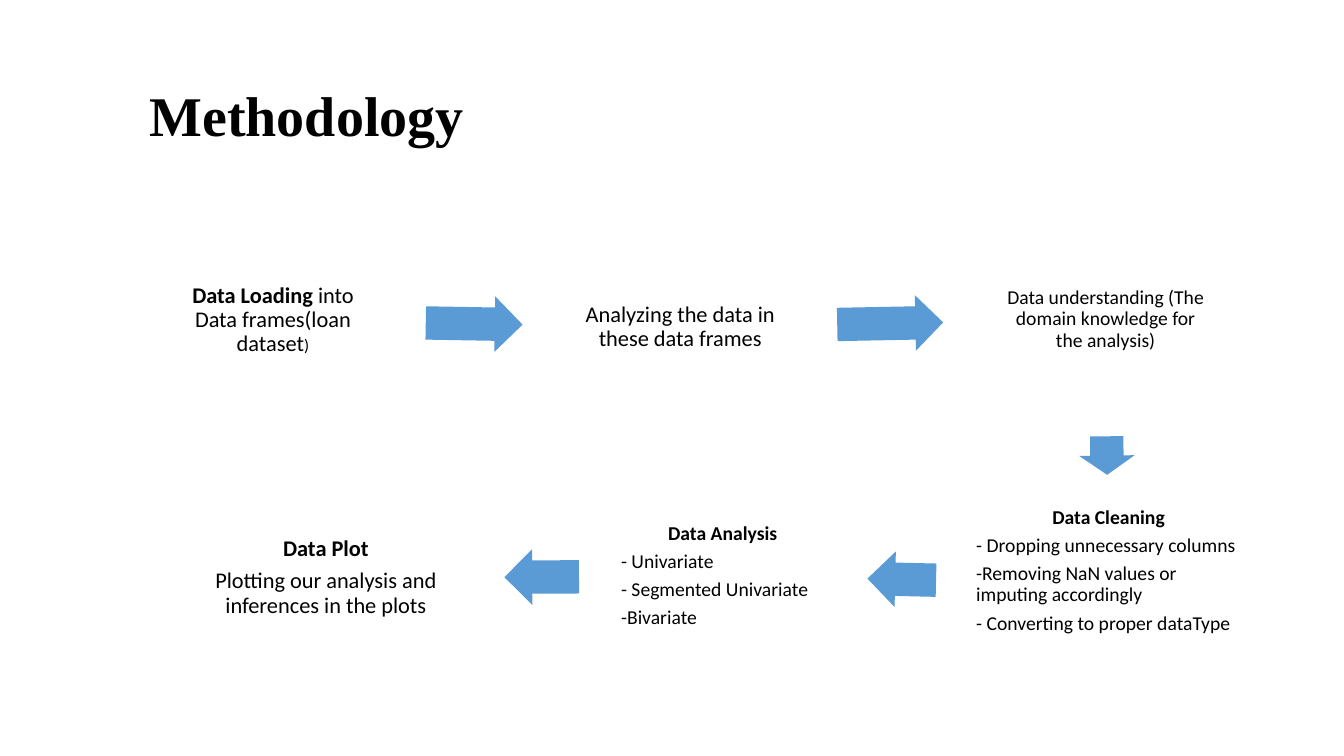
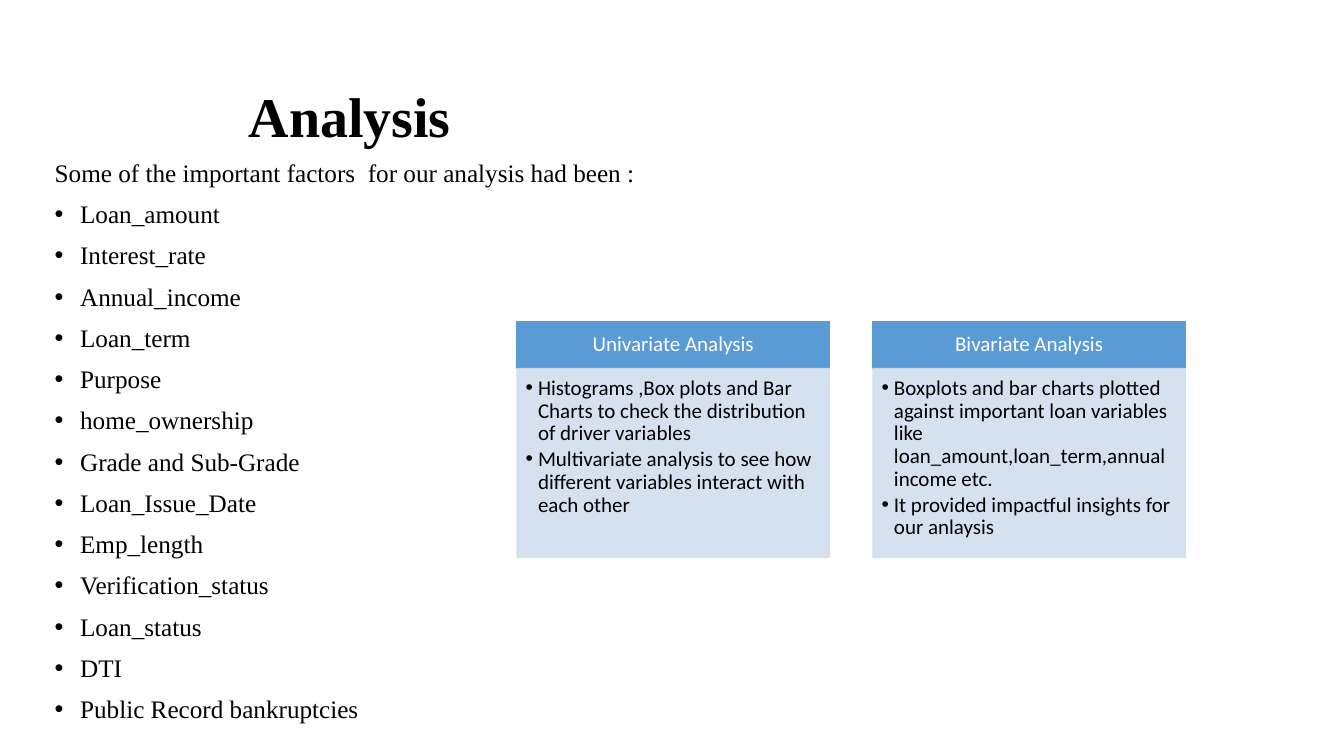
from dataclasses import dataclass

from lxml.etree import SubElement
from pptx import Presentation
from pptx.dml.color import RGBColor
from pptx.enum.shapes import MSO_SHAPE
from pptx.enum.text import MSO_ANCHOR, PP_ALIGN
from pptx.oxml.ns import qn
from pptx.util import Cm, Pt


# Theme
@dataclass(frozen=True)
class Theme:
    black: RGBColor = RGBColor(0x00, 0x00, 0x00)
    white: RGBColor = RGBColor(0xFF, 0xFF, 0xFF)
    blue: RGBColor = RGBColor(0x5B, 0x9B, 0xD5)
    pale: RGBColor = RGBColor(0xD2, 0xDE, 0xEF)
    pale_opacity: int = 90
    serif: str = "Times New Roman"
    sans: str = "Calibri"
    title: int = 40
    factor: int = 18
    step: int = 16
    step_small: int = 14
    bracket: int = 12
    card: int = 15
    line_spacing: float = 0.9


THEME = Theme()


# Building blocks; all lengths are in centimetres
@dataclass(frozen=True)
class Area:
    left: float
    top: float
    width: float
    height: float


@dataclass(frozen=True)
class Span:
    text: str
    bold: bool = False
    size: int | None = None


@dataclass(frozen=True)
class Line:
    spans: tuple[Span, ...]
    centred: bool = False
    bullet: bool = False


@dataclass(frozen=True)
class TextStyle:
    font: str
    size: int
    colour: RGBColor = THEME.black
    before: float = 0
    after: float = 0
    indent: float = 0
    insets: tuple[float, float, float, float] = (0.25, 0.13, 0.25, 0.13)
    anchor: MSO_ANCHOR = MSO_ANCHOR.MIDDLE


@dataclass(frozen=True)
class Step:
    area: Area
    size: int
    lines: tuple[Line, ...]
    boxed: bool = True
    space_below: float = 0


@dataclass(frozen=True)
class Arrow:
    left: float
    top: float
    length: float
    rotation: float


@dataclass(frozen=True)
class Card:
    heading: str
    points: tuple[str, ...]


def line(text: str, bold: bool = False, centred: bool = False,
         bullet: bool = False) -> Line:
    return Line((Span(text, bold),), centred, bullet)


# Shared drawing functions
def write(frame, lines: tuple[Line, ...], style: TextStyle) -> None:
    frame.word_wrap = True
    frame.vertical_anchor = style.anchor
    (frame.margin_left, frame.margin_top,
     frame.margin_right, frame.margin_bottom) = map(Cm, style.insets)
    for index, item in enumerate(lines):
        para = frame.add_paragraph() if index else frame.paragraphs[0]
        para.alignment = PP_ALIGN.CENTER if item.centred else PP_ALIGN.LEFT
        para.line_spacing = THEME.line_spacing
        para.space_before = Pt(style.before)
        para.space_after = Pt(style.after)
        if item.bullet:
            properties = para._p.get_or_add_pPr()
            properties.set("marL", str(Cm(style.indent)))
            properties.set("indent", str(-Cm(style.indent)))
            SubElement(properties, qn("a:buFont"), typeface="Arial")
            SubElement(properties, qn("a:buChar"), char="•")
        for part in item.spans:
            span = para.add_run()
            span.text = part.text
            span.font.name = style.font
            span.font.size = Pt(part.size or style.size)
            span.font.bold = part.bold
            span.font.color.rgb = style.colour


def place(area: Area) -> tuple[Cm, Cm, Cm, Cm]:
    return Cm(area.left), Cm(area.top), Cm(area.width), Cm(area.height)


def add_text(page, area: Area, lines: tuple[Line, ...], style: TextStyle) -> None:
    box = page.shapes.add_textbox(*place(area))
    write(box.text_frame, lines, style)


def add_filled(page, kind: MSO_SHAPE, area: Area, colour: RGBColor):
    shape = page.shapes.add_shape(kind, *place(area))
    shape.shadow.inherit = False
    shape.fill.solid()
    shape.fill.fore_color.rgb = colour
    shape.line.fill.background()
    return shape


def add_page(deck, title: str, left: float, top: float):
    page = deck.slides.add_slide(deck.slide_layouts[6])
    add_text(page, Area(left, top, 25.88, 2.39), (line(title, bold=True),),
             TextStyle(THEME.serif, THEME.title))
    return page


# Methodology content
ARROW_THICKNESS = 1.4

STEPS = (
    Step(Area(4.19, 5.76, 5.38, 4.62), THEME.step, (
        Line((Span("Data Loading ", bold=True),
              Span("into Data frames(loan dataset"),
              Span(")", size=THEME.bracket)), centred=True),
    ), boxed=False),
    Step(Area(14.3, 5.66, 5.69, 5.18), THEME.step, (
        line("Analyzing the data in these data frames", centred=True),
    )),
    Step(Area(25.02, 5.49, 5.69, 5.13), THEME.step_small, (
        line("Data understanding (The domain knowledge for the analysis)",
             centred=True),
    )),
    Step(Area(24.31, 12.42, 7.26, 4.62), THEME.step_small, (
        line("Data Cleaning", bold=True, centred=True),
        line("- Dropping unnecessary columns"),
        line("-Removing NaN values or imputing accordingly"),
        line("- Converting to proper dataType"),
    ), space_below=0.68),
    Step(Area(15.37, 12.35, 5.69, 4.32), THEME.step_small, (
        line("Data Analysis", bold=True, centred=True),
        line("- Univariate"),
        line("- Segmented Univariate"),
        line("-Bivariate"),
    )),
    Step(Area(4.62, 12.78, 7.19, 3.56), THEME.step, (
        line("Data Plot", bold=True, centred=True),
        line("Plotting our analysis and inferences in the plots", centred=True),
    )),
)

ARROWS = (
    Arrow(10.73, 7.46, 2.44, 1),
    Arrow(21.1, 7.45, 2.67, 358.9),
    Arrow(27.41, 10.78, 0.97, 89.3),
    Arrow(21.86, 13.9, 1.73, 181.3),
    Arrow(12.71, 13.84, 1.88, 179.7),
)


def add_step(page, step: Step) -> None:
    inset = step.size / 90
    style = TextStyle(THEME.sans, step.size, after=0.35 * step.size,
                      insets=(inset, inset, inset, inset + step.space_below))
    if not step.boxed:
        add_text(page, step.area, step.lines, style)
        return
    box = add_filled(page, MSO_SHAPE.ROUNDED_RECTANGLE, step.area, THEME.white)
    box.adjustments[0] = 0.1
    write(box.text_frame, step.lines, style)


def build_methodology(deck) -> None:
    page = add_page(deck, "Methodology", 3.52, 1.78)
    for step in STEPS:
        add_step(page, step)
    for arrow in ARROWS:
        shape = add_filled(
            page, MSO_SHAPE.RIGHT_ARROW,
            Area(arrow.left, arrow.top, arrow.length, ARROW_THICKNESS), THEME.blue)
        shape.adjustments[0] = 0.6
        shape.adjustments[1] = 0.5
        shape.rotation = arrow.rotation


# Analysis content
FACTORS = (
    "Loan_amount", "Interest_rate", "Annual_income", "Loan_term", "Purpose",
    "home_ownership", "Grade and Sub-Grade", "Loan_Issue_Date", "Emp_length",
    "Verification_status", "Loan_status", "DTI", "Public Record bankruptcies",
)

CARDS = (
    Card("Univariate Analysis", (
        "Histograms ,Box plots and Bar Charts to check the distribution "
        "of driver variables",
        "Multivariate analysis to see how different variables interact "
        "with each other",
    )),
    Card("Bivariate Analysis", (
        "Boxplots and bar charts plotted against important loan variables "
        "like loan_amount,loan_term,annual income etc.",
        "It provided impactful insights for our anlaysis",
    )),
)

FIRST_CARD = Area(13.03, 8.1, 7.87, 5.95)
CARD_PITCH = 8.97
HEADING_HEIGHT = 1.19


def add_card(page, card: Card, area: Area) -> None:
    heading = add_filled(
        page, MSO_SHAPE.RECTANGLE,
        Area(area.left, area.top, area.width, HEADING_HEIGHT), THEME.blue)
    heading.line.color.rgb = THEME.blue
    heading.line.width = Pt(1)
    write(heading.text_frame, (line(card.heading, centred=True),),
          TextStyle(THEME.sans, THEME.card, THEME.white,
                    insets=(0.3, 0.17, 0.3, 0.2)))

    panel = add_filled(
        page, MSO_SHAPE.RECTANGLE,
        Area(area.left, area.top + HEADING_HEIGHT, area.width,
             area.height - HEADING_HEIGHT), THEME.pale)
    panel.line.color.rgb = THEME.pale
    panel.line.width = Pt(1)
    for colour in panel._element.spPr.iter(qn("a:srgbClr")):
        SubElement(colour, qn("a:alpha"), val=str(THEME.pale_opacity * 1000))
    write(panel.text_frame,
          tuple(line(point, bullet=True) for point in card.points),
          TextStyle(THEME.sans, THEME.card, after=0.15 * THEME.card, indent=0.31,
                    insets=(0.22, 0.22, 0.3, 0.34), anchor=MSO_ANCHOR.TOP))


def build_analysis(deck) -> None:
    page = add_page(deck, "Analysis", 6.02, 1.82)
    intro = line("Some of the important factors  for our analysis had been :")
    factors = tuple(line(name, bullet=True) for name in FACTORS)
    add_text(page, Area(1.13, 3.92, 31.01, 14.3), (intro, *factors),
             TextStyle(THEME.serif, THEME.factor, before=10, indent=0.64,
                       anchor=MSO_ANCHOR.TOP))
    for index, card in enumerate(CARDS):
        add_card(page, card,
                 Area(FIRST_CARD.left + index * CARD_PITCH, FIRST_CARD.top,
                      FIRST_CARD.width, FIRST_CARD.height))


def main() -> None:
    deck = Presentation()
    deck.slide_width = Cm(33.87)
    deck.slide_height = Cm(19.05)
    build_methodology(deck)
    build_analysis(deck)
    deck.save("out.pptx")


if __name__ == "__main__":
    main()
